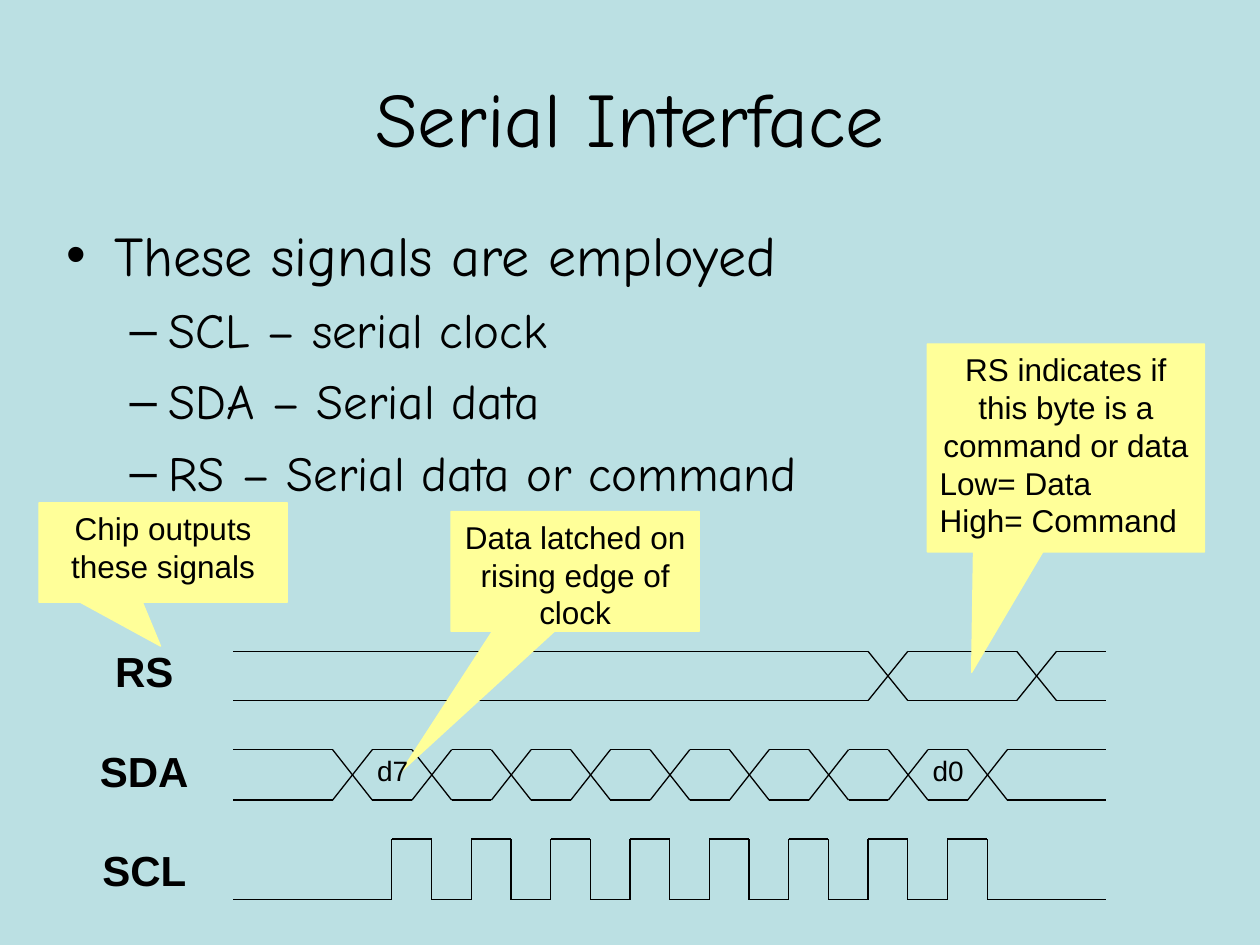
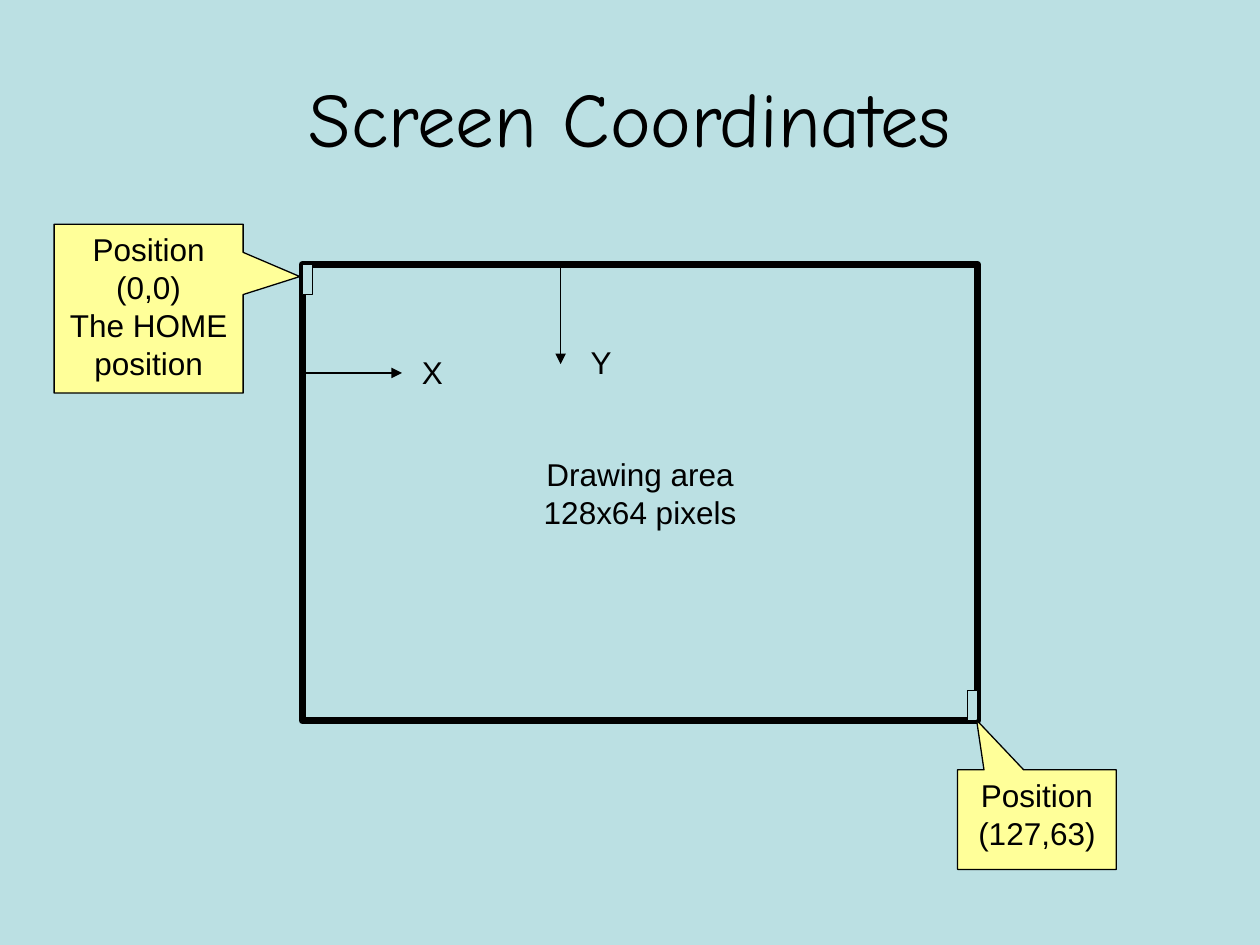
from lxml import etree
from pptx import Presentation
from pptx.dml.color import RGBColor
from pptx.enum.shapes import MSO_CONNECTOR, MSO_SHAPE
from pptx.enum.text import MSO_ANCHOR, MSO_AUTO_SIZE, PP_ALIGN
from pptx.oxml.ns import qn
from pptx.util import Inches, Pt

RECT = MSO_SHAPE.RECTANGLE
NOTE = MSO_SHAPE.RECTANGULAR_CALLOUT
LINE = MSO_CONNECTOR.STRAIGHT
TOP, MID = MSO_ANCHOR.TOP, MSO_ANCHOR.MIDDLE
LEFT, CENTER = PP_ALIGN.LEFT, PP_ALIGN.CENTER
GROW, FIXED = MSO_AUTO_SIZE.SHAPE_TO_FIT_TEXT, MSO_AUTO_SIZE.NONE

PALE, YELLOW, BLACK = "BBE0E3", "FFFF99", "000000"
SANS, HAND = "Arial", "Comic Neue"
THIN = 0.75

# Timing grid
BITS = 8
STEP = 0.63
HALF = STEP / 2


def paint(fmt, hue):
    """Give a fill or font colour object a hex colour."""
    if hasattr(fmt, "solid"):
        fmt.solid()
        fmt = fmt.fore_color
    fmt.rgb = RGBColor.from_string(hue)


def write(shape, lines, size=18, font=SANS, bold=False, align=CENTER,
          anchor=TOP, wrap=True, fit=FIXED):
    frame = shape.text_frame
    frame.text = "\n".join(lines)
    frame.auto_size = fit
    frame.word_wrap = wrap
    frame.vertical_anchor = anchor
    for para in frame.paragraphs:
        para.alignment = align
        for run in para.runs:
            run.font.name, run.font.size, run.font.bold = font, Pt(size), bold
            paint(run.font.color, BLACK)
    return shape


def block(slide, box, kind=RECT, fill=PALE, edge=None, width=THIN):
    shape = slide.shapes.add_shape(kind, *map(Inches, box))
    shape.shadow.inherit = False
    paint(shape.fill, fill)
    if edge:
        paint(shape.line.fill, edge)
        shape.line.width = Pt(width)
    else:
        shape.line.fill.background()
    return shape


def label(slide, box, text, **style):
    shape = slide.shapes.add_textbox(*map(Inches, box))
    return write(shape, [text], wrap=False, **style)


def callout(slide, box, tip, lines, edge=YELLOW):
    """Place a note whose tip is given as fractions from its centre."""
    shape = block(slide, box, NOTE, YELLOW, edge)
    shape.adjustments[0], shape.adjustments[1] = tip
    return write(shape, lines)


def wire(slide, start, end, arrow=False):
    line = slide.shapes.add_connector(LINE, *map(Inches, (*start, *end)))
    paint(line.line.fill, BLACK)
    line.line.width = Pt(THIN)
    if arrow:
        etree.SubElement(line.line._get_or_add_ln(), qn("a:tailEnd"),
                         type="triangle")
    etree.SubElement(line._element.spPr, qn("a:effectLst"))


def open_slide(deck, title):
    slide = deck.slides.add_slide(deck.slide_layouts[5])
    paint(slide.background.fill, PALE)
    head = slide.shapes.title
    head.left, head.top, head.width, head.height = map(
        Inches, (0.5, 0.3, 9, 1.25))
    write(head, [title], size=44, font=HAND, anchor=MID)
    return slide


def bullets(slide, box, items):
    """List of (level, text) items with hanging bullets."""
    looks = [(32, 8, 0.38, 0.38, "•"), (28, 7, 0.81, 0.31, "–")]
    shape = slide.shapes.add_textbox(*map(Inches, box))
    write(shape, [text for _, text in items], font=HAND, align=LEFT)
    for para, (level, _) in zip(shape.text_frame.paragraphs, items):
        size, gap, margin, hang, mark = looks[level]
        para.level = level
        para.space_before = Pt(gap)
        para.runs[0].font.size = Pt(size)
        props = para._p.get_or_add_pPr()
        props.set("marL", str(Inches(margin)))
        props.set("indent", str(-Inches(hang)))
        etree.SubElement(props, qn("a:buFont"), typeface=SANS)
        etree.SubElement(props, qn("a:buChar"), char=mark)


def bus(slide, box, swaps):
    """Two rails that cross at each offset in swaps."""
    left, top, width, height = box
    low = top + height
    start = left
    for swap in swaps:
        a, b = left + swap, left + swap + HALF
        for y in (top, low):
            wire(slide, (start, y), (a, y))
        wire(slide, (a, top), (b, low))
        wire(slide, (a, low), (b, top))
        start = b
    for y in (top, low):
        wire(slide, (start, y), (left + width, y))


def clock(slide, box, first):
    """One pulse per bit, the first at the given offset."""
    left, top, width, height = box
    low = top + height
    start = left
    for bit in range(BITS):
        a = left + first + bit * STEP
        b = a + HALF
        wire(slide, (start, low), (a, low))
        wire(slide, (a, low), (a, top))
        wire(slide, (a, top), (b, top))
        wire(slide, (b, top), (b, low))
        start = b
    wire(slide, (start, low), (left + width, low))


def timing(slide, box):
    left, top, width, row = box
    side = 0.79
    # Signals
    wave, span = left + 1.1, width - 1.1
    bus(slide, (wave, top + 0.24, span, 0.39), [5.04, 6.22])
    bus(slide, (wave, top + 1.02, span, 0.4),
        [0.79 + STEP * bit for bit in range(BITS + 1)])
    clock(slide, (wave, top + 1.73, span, 0.48), 1.26)
    # Signal names
    for i, name in enumerate(("RS", "SDA", "SCL")):
        tag = block(slide, (left, top + i * row, side, side))
        write(tag, [name], size=24, bold=True, anchor=MID, wrap=False)
    return wave, top + row, side


def serial(deck):
    slide = open_slide(deck, "Serial Interface")
    bullets(slide, (0.43, 1.7, 9, 2.47), [
        (0, "These signals are employed"),
        (1, "SCL – serial clock"),
        (1, "SDA – Serial data"),
        (1, "RS – Serial data or command"),
    ])
    wave, data, side = timing(slide, (0.75, 4.93, 8.03, 0.79))
    # Notes
    callout(slide, (0.31, 3.99, 1.97, 0.79), (-0.01, 0.94),
            ["Chip outputs these signals"])
    callout(slide, (3.58, 4.06, 1.97, 0.95), (-0.7, 1.67),
            ["Data latched on rising edge of clock"])
    rule = callout(slide, (7.36, 2.73, 2.2, 1.65), (-0.34, 1.08),
                   ["RS indicates if this byte is a command or data",
                    "Low= Data", "High= Command"])
    for para in rule.text_frame.paragraphs[1:]:
        para.alignment = LEFT
    # First and last bit
    for bit, name in ((0, "d7"), (BITS - 1, "d0")):
        label(slide, (wave + 0.87 + bit * STEP, data, side, side), name,
              size=16, anchor=MID)


def screen(slide, box):
    left, top, width, height = box
    area = block(slide, box, edge=BLACK, width=4.25)
    write(area, ["Drawing area", "128x64 pixels"], anchor=MID, wrap=False)
    # Corner pixels
    wide, tall = 0.08, 0.24
    for x, y in ((left, top), (left + width - wide, top + height - tall)):
        block(slide, (x, y, wide, tall), edge=BLACK)
    # Axes
    reach = 0.79
    x, y = left + 2.05, top + 0.86
    wire(slide, (left, y), (left + reach, y), arrow=True)
    wire(slide, (x, top), (x, top + reach), arrow=True)
    for dx, dy, name in ((0.85, 0.65, "X"), (2.19, 0.57, "Y")):
        label(slide, (left + dx, top + dy, 0.36, 0.4), name,
              align=LEFT, fit=GROW)


def coords(deck):
    slide = open_slide(deck, "Screen Coordinates")
    screen(slide, (2.4, 2.1, 5.36, 3.62))
    # Notes
    callout(slide, (0.43, 1.78, 1.5, 1.34), (0.8, -0.19),
            ["Position (0,0)", "The HOME position"], BLACK)
    callout(slide, (7.6, 6.11, 1.26, 0.79), (-0.38, -1),
            ["Position (127,63)"], BLACK)


def main():
    deck = Presentation()
    deck.slide_width, deck.slide_height = Inches(10), Inches(7.5)
    serial(deck)
    coords(deck)
    deck.save("out.pptx")


if __name__ == "__main__":
    main()
